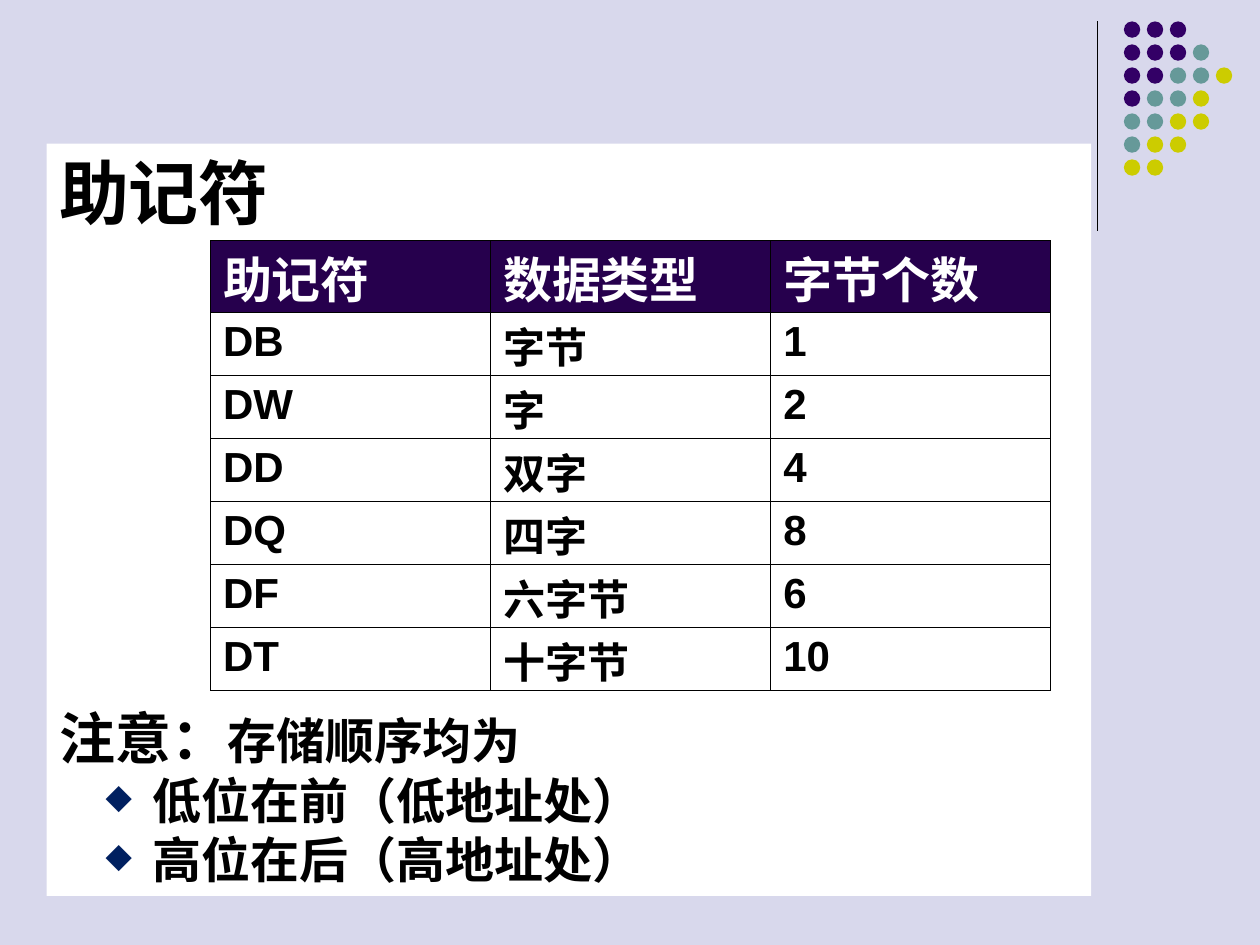
from lxml.etree import SubElement
from pptx import Presentation
from pptx.dml.color import RGBColor
from pptx.enum.shapes import MSO_CONNECTOR, MSO_SHAPE
from pptx.enum.text import MSO_ANCHOR, PP_ALIGN
from pptx.oxml.ns import qn
from pptx.util import Inches, Pt

DOT_COLORS = {"P": "330066", "T": "669999", "Y": "CCCC00"}
DOT_ROWS = ["PPP", "PPPT", "PPTTY", "PTTY", "TTYY", "TYY", "YY"]
TABLE_ROWS = [
    ("助记符", "数据类型", "字节个数"),
    ("DB", "字节", "1"),
    ("DW", "字", "2"),
    ("DD", "双字", "4"),
    ("DQ", "四字", "8"),
    ("DF", "六字节", "6"),
    ("DT", "十字节", "10"),
]
NOTES = ["低位在前（低地址处）", "高位在后（高地址处）"]


def rgb(color):
    """Turn a hex string into a colour."""
    return RGBColor.from_string(color)


def paint(fill, color):
    """Give a fill one solid colour."""
    fill.solid()
    fill.fore_color.rgb = rgb(color)


def add_run(p, text, size, color="000000"):
    """Add a bold run to a paragraph."""
    r = p.add_run()
    r.text = text
    for name, value in {"name": "Arial", "size": Pt(size), "bold": True}.items():
        setattr(r.font, name, value)
    r.font.color.rgb = rgb(color)


def add_filled(s, kind, left, top, width, height, color):
    """Add a preset shape with a fill and no outline."""
    sp = s.shapes.add_shape(
        kind, Inches(left), Inches(top), Inches(width), Inches(height))
    sp.shadow.inherit = False
    paint(sp.fill, color)
    sp.line.fill.background()
    return sp


def add_corner(s):
    """Add the vertical rule and the triangle of dots."""
    rule = s.shapes.add_connector(
        MSO_CONNECTOR.STRAIGHT, Inches(8.71), Inches(0.17), Inches(8.71), Inches(1.83))
    rule.line.color.rgb = rgb("000000")
    rule.line.width = Pt(0.75)
    SubElement(rule._element.spPr, qn("a:effectLst"))
    pitch = (9.65 - 8.92) / 4
    for i, row in enumerate(DOT_ROWS):
        for j, key in enumerate(row):
            add_filled(s, MSO_SHAPE.OVAL, 8.92 + j * pitch, 0.17 + i * pitch,
                       0.13, 0.13, DOT_COLORS[key])


def set_bullet(p, char, color, margin, hanging):
    """Give a paragraph a small coloured bullet with a hanging indent."""
    pPr = p._p.get_or_add_pPr()
    pPr.set("marL", str(Inches(margin)))
    pPr.set("indent", str(-Inches(hanging)))
    clr = SubElement(pPr, qn("a:buClr"))
    SubElement(clr, qn("a:srgbClr")).set("val", color)
    SubElement(pPr, qn("a:buSzPct")).set("val", "70000")
    SubElement(pPr, qn("a:buChar")).set("char", char)


def add_panel(s):
    """Add the white panel with its heading and notes."""
    tf = add_filled(s, MSO_SHAPE.RECTANGLE, 0.37, 1.14, 8.29, 5.97, "FFFFFF").text_frame
    tf.word_wrap = True
    tf.vertical_anchor = MSO_ANCHOR.TOP
    add_run(tf.paragraphs[0], "助记符", 40)
    p = tf.add_paragraph()
    p.space_before = Pt(268.5)
    add_run(p, "注意：", 32)
    add_run(p, "存储顺序均为", 28)
    for note in NOTES:
        p = tf.add_paragraph()
        p.level = 1
        set_bullet(p, "◆", "002060", 0.74, 0.37)
        add_run(p, note, 28)
    for p in tf.paragraphs:
        p.alignment = PP_ALIGN.LEFT


def set_borders(cell, color, width):
    """Draw the four borders of a cell ahead of its fill."""
    tcPr = cell._tc.get_or_add_tcPr()
    for i, side in enumerate(("lnL", "lnR", "lnT", "lnB")):
        ln = SubElement(tcPr, qn(f"a:{side}"), w=str(Pt(width)))
        fill = SubElement(ln, qn("a:solidFill"))
        SubElement(fill, qn("a:srgbClr")).set("val", color)
        tcPr.insert(i, ln)


def fit_cell(cell, text):
    """Trim the insets so that tall Chinese lines fit the row height."""
    latin = text.isascii()
    layout = {
        "margin_top": Inches(0.05 if latin else 0),
        "margin_bottom": Inches(0),
        "vertical_anchor": MSO_ANCHOR.TOP if latin else MSO_ANCHOR.BOTTOM,
    }
    for name, value in layout.items():
        setattr(cell, name, value)


def add_types_table(s):
    """Add the table of mnemonics, data types and byte counts."""
    table = s.shapes.add_table(
        len(TABLE_ROWS), 3, Inches(1.67), Inches(1.91), Inches(6.67), Inches(3.57)).table
    for i, row in enumerate(TABLE_ROWS):
        header = i == 0
        table.rows[i].height = Inches(0.57 if header else 0.5)
        for j, text in enumerate(row):
            cell = table.cell(i, j)
            if header:
                paint(cell.fill, "26004D")
            else:
                cell.fill.background()
            set_borders(cell, "000000", 0.45)
            fit_cell(cell, text)
            add_run(cell.text_frame.paragraphs[0], text,
                    28 if header else 24, "FFFFFF" if header else "000000")


def main():
    """Build the slide and save it."""
    prs = Presentation()
    prs.slide_width, prs.slide_height = Inches(10), Inches(7.5)
    s = prs.slides.add_slide(prs.slide_layouts[6])
    paint(s.background.fill, "D8D8EC")
    add_corner(s)
    add_panel(s)
    add_types_table(s)
    prs.save("out.pptx")


if __name__ == "__main__":
    main()
